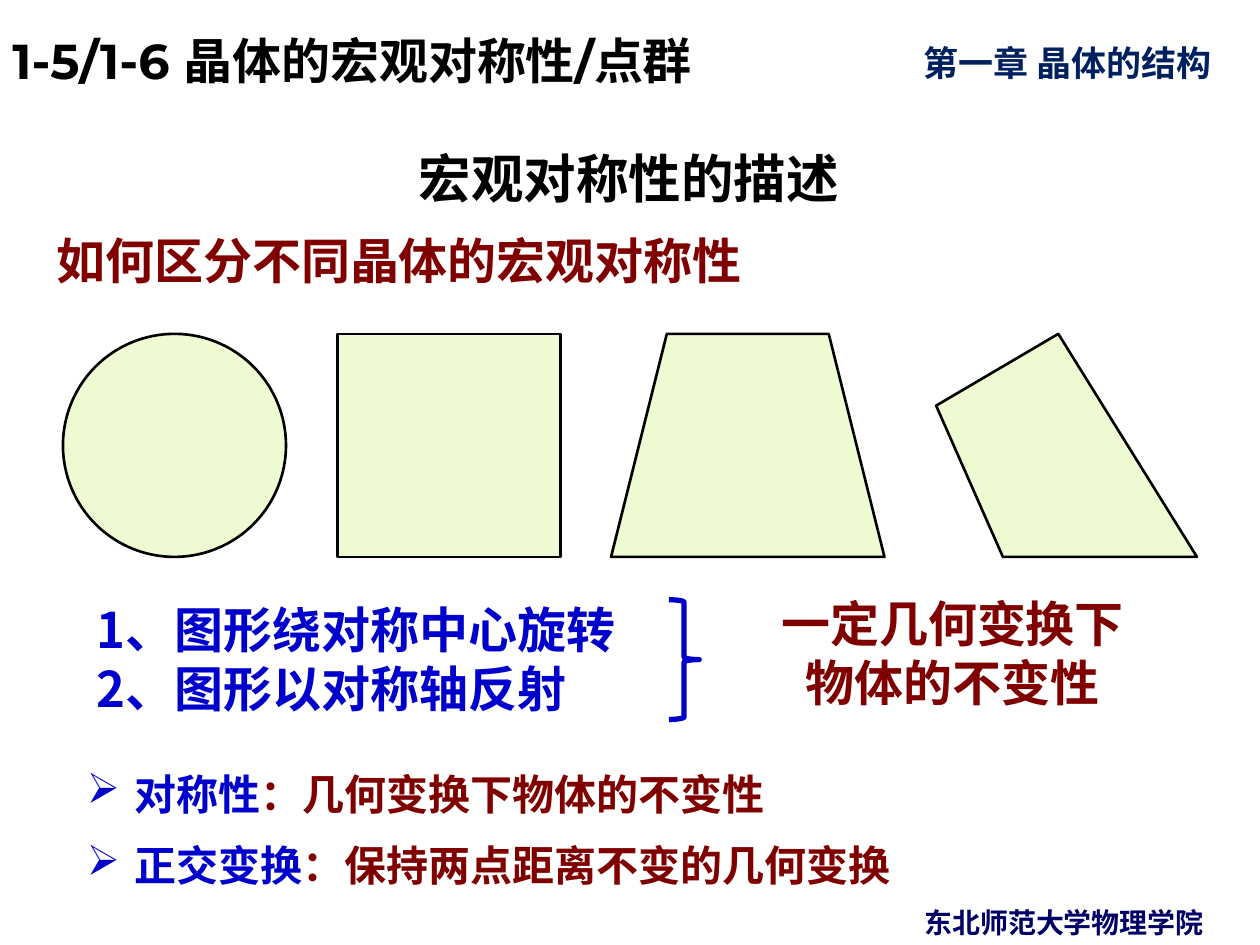
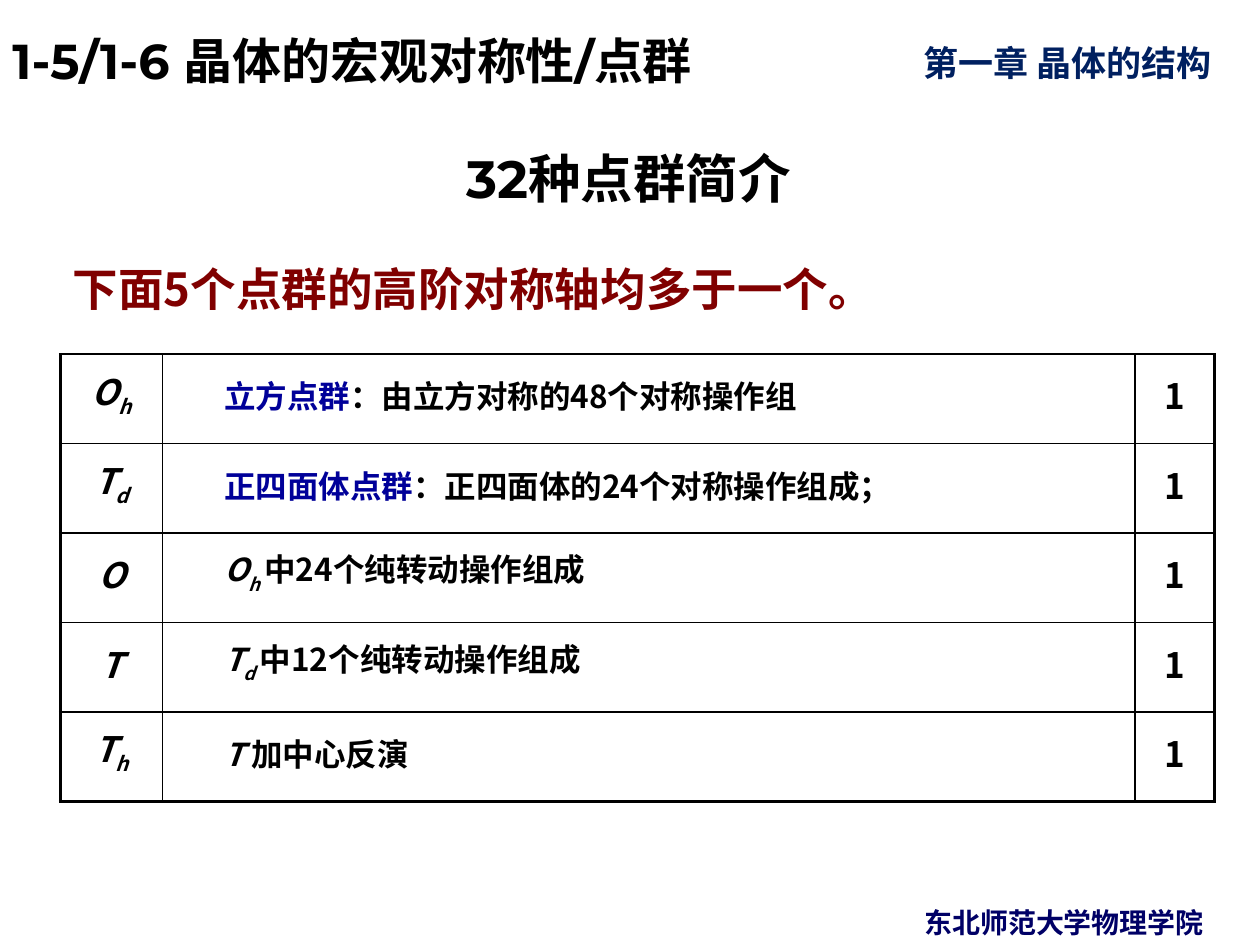
import pptx
import pptx.dml.color
import pptx.enum.shapes
import pptx.enum.text
import pptx.oxml
import pptx.oxml.ns
import pptx.util

Inches, Pt = pptx.util.Inches, pptx.util.Pt
RGB = pptx.dml.color.RGBColor.from_string
ALIGN = pptx.enum.text.PP_ALIGN
ANCHOR = pptx.enum.text.MSO_ANCHOR
SHAPE = pptx.enum.shapes.MSO_SHAPE
NS = pptx.oxml.ns.nsdecls("a")

COLORS = {
    "ink": "000000", "chapter": "002060", "school": "000066", "maroon": "800000",
    "blue": "0000CC", "group": "000099", "figure": "EDFAD2",
}
LATIN, CJK = "Montserrat", "Noto Sans CJK SC"
LEADING = 1.2


def fill_para(para, spans, size, font=CJK, align=ALIGN.LEFT):
    """Add bold spans given as (text, colour name, italic, baseline in percent)."""
    para.alignment = align
    para.line_spacing = Pt(round(size * LEADING, 1))
    for text, color, *style in spans:
        italic, baseline = style or (False, 0)
        span = para.add_run()
        span.text = text
        span.font.name = font
        span.font.size = Pt(size)
        span.font.bold = True
        span.font.italic = italic
        span.font.color.rgb = RGB(COLORS[color])
        props = span._r.get_or_add_rPr()
        if baseline:
            props.set("baseline", str(baseline * 1000))
        props.append(pptx.oxml.parse_xml(f'<a:ea {NS} typeface="{CJK}"/>'))


def add_text(page, place, paras, size, font=CJK, align=ALIGN.LEFT,
             anchor=ANCHOR.TOP, wrap=True, bullet=None):
    box = page.shapes.add_textbox(*map(Inches, place))
    frame = box.text_frame
    frame.word_wrap = wrap
    frame.vertical_anchor = anchor
    for index, spans in enumerate(paras):
        para = frame.add_paragraph() if index else frame.paragraphs[0]
        if bullet:
            props = para._p.get_or_add_pPr()
            props.set("marL", str(Inches(0.38)))
            props.set("indent", str(Inches(-0.38)))
            props.append(pptx.oxml.parse_xml(f'<a:buChar {NS} char="{bullet}"/>'))
            if index:
                para.space_before = Pt(size / 2)
        fill_para(para, spans, size, font, align)


deck = pptx.Presentation()
deck.slide_width, deck.slide_height = Inches(10), Inches(7.5)

# Header, footer and title shared by both slides
pages = []
for title in ("宏观对称性的描述", "32种点群简介"):
    page = deck.slides.add_slide(deck.slide_layouts[6])
    add_text(page, (7.23, 0.28, 2.83, 0.43), [[("第一章 晶体的结构", "chapter")]], 20, LATIN)
    add_text(page, (0, 0.07, 8.17, 0.69), [[("1-5/1-6 晶体的宏观对称性/点群", "ink")]],
             28, LATIN, anchor=ANCHOR.BOTTOM)
    add_text(page, (6.89, 7.14, 3.11, 0.37), [[("东北师范大学物理学院", "school")]],
             16, align=ALIGN.CENTER)
    add_text(page, (0.48, 0.84, 9.02, 0.87), [[(title, "ink")]], 30, LATIN,
             ALIGN.CENTER, ANCHOR.BOTTOM)
    pages.append(page)
symmetry_page, groups_page = pages

# Slide 1: four figures of falling symmetry
FIGURE_TOP, FIGURE_SIZE = 2.65, 1.77
figures = [
    symmetry_page.shapes.add_shape(
        kind, Inches(left), Inches(FIGURE_TOP), Inches(width), Inches(FIGURE_SIZE))
    for kind, left, width in (
        (SHAPE.OVAL, 0.5, FIGURE_SIZE),
        (SHAPE.RECTANGLE, 2.68, FIGURE_SIZE),
        (SHAPE.TRAPEZOID, 4.85, 2.17),
    )
]
corners = [(Inches(x), Inches(y))
           for x, y in ((7.96, 4.42), (7.43, 3.22), (8.4, 2.65), (9.5, 4.42))]
outline = symmetry_page.shapes.build_freeform(*corners[0])
outline.add_line_segments(corners[1:], close=True)
figures.append(outline.convert_to_shape())
for figure in figures:
    figure.shadow.inherit = False
    figure.fill.solid()
    figure.fill.fore_color.rgb = RGB(COLORS["figure"])
    figure.line.color.rgb = RGB(COLORS["ink"])
    figure.line.width = Pt(1.5)

add_text(symmetry_page, (0.35, 1.78, 5.72, 0.57),
         [[("如何区分不同晶体的宏观对称性", "maroon")]], 28, wrap=False)
add_text(symmetry_page, (0.67, 4.71, 6.06, 1.04),
         [[("1、图形绕对称中心旋转", "blue")], [("2、图形以对称轴反射", "blue")]], 28)

brace = symmetry_page.shapes.add_shape(
    SHAPE.RIGHT_BRACE, Inches(5.31), Inches(4.76), Inches(0.24), Inches(0.95))
brace.shadow.inherit = False
brace.fill.background()
brace.line.color.rgb = RGB(COLORS["blue"])
brace.line.width = Pt(3)

add_text(symmetry_page, (6, 4.66, 3.12, 1.04),
         [[("一定几何变换下物体的不变性", "maroon")]], 28, align=ALIGN.CENTER)
add_text(symmetry_page, (0.59, 6.05, 9.02, 1.11),
         [[("对称性", "blue"), ("：几何变换下物体的不变性", "maroon")],
          [("正交变换", "blue"), ("：保持两点距离不变的几何变换", "maroon")]],
         24, bullet="➢")

# Slide 2: table of the five point groups
add_text(groups_page, (0.48, 2.02, 9.16, 0.54),
         [[("下面5个点群的高阶对称轴均多于一个。", "maroon")]], 26)

point_groups = [
    ("O", "h", [("立方点群", "group"), ("：由立方对称的48个对称操作组", "ink")]),
    ("T", "d", [("正四面体点群", "group"), ("：正四面体的24个对称操作组成；", "ink")]),
    ("O", "", [("O", "ink", True, 0), ("h ", "ink", True, -30),
               ("中24个纯转动操作组成", "ink")]),
    ("T", "", [("T", "ink", True, 0), ("d ", "ink", True, -30),
               ("中12个纯转动操作组成", "ink")]),
    ("T", "h", [("T ", "ink", True, 0), ("加中心反演", "ink")]),
]
widths = (0.81, 7.72, 0.63)
ROW_HEIGHT = 0.71
last_row, last_column = len(point_groups) - 1, len(widths) - 1
table = groups_page.shapes.add_table(
    len(point_groups), len(widths), Inches(0.48), Inches(2.81),
    Inches(sum(widths)), Inches(ROW_HEIGHT * len(point_groups))).table
table.first_row = table.horz_banding = False
for column, width in zip(table.columns, widths):
    column.width = Inches(width)

for row, (symbol, subscript, description) in enumerate(point_groups):
    table.rows[row].height = Inches(ROW_HEIGHT)
    name = [(symbol, "ink", True, 0)]
    if subscript:
        name.append((subscript, "ink", True, -25))
    for column, spans in enumerate((name, description, [("1", "ink")])):
        cell = table.cell(row, column)
        cell.vertical_anchor = ANCHOR.MIDDLE
        para = cell.text_frame.paragraphs[0]
        if column == 1:
            para._p.get_or_add_pPr().set("marL", str(Inches(0.39)))
            fill_para(para, spans, 18)
        else:
            fill_para(para, spans, 20, align=ALIGN.CENTER)
        props = cell._tc.get_or_add_tcPr()
        heavy_sides = {"L": column == 0, "R": column == last_column,
                       "T": False, "B": row == last_row}
        for side, heavy in heavy_sides.items():
            props.append(pptx.oxml.parse_xml(
                f'<a:ln{side} {NS} w="{Pt(2.25 if heavy else 1)}"><a:solidFill>'
                f'<a:srgbClr val="{COLORS["ink"]}"/></a:solidFill></a:ln{side}>'))
        cell.fill.background()

deck.save("out.pptx")
